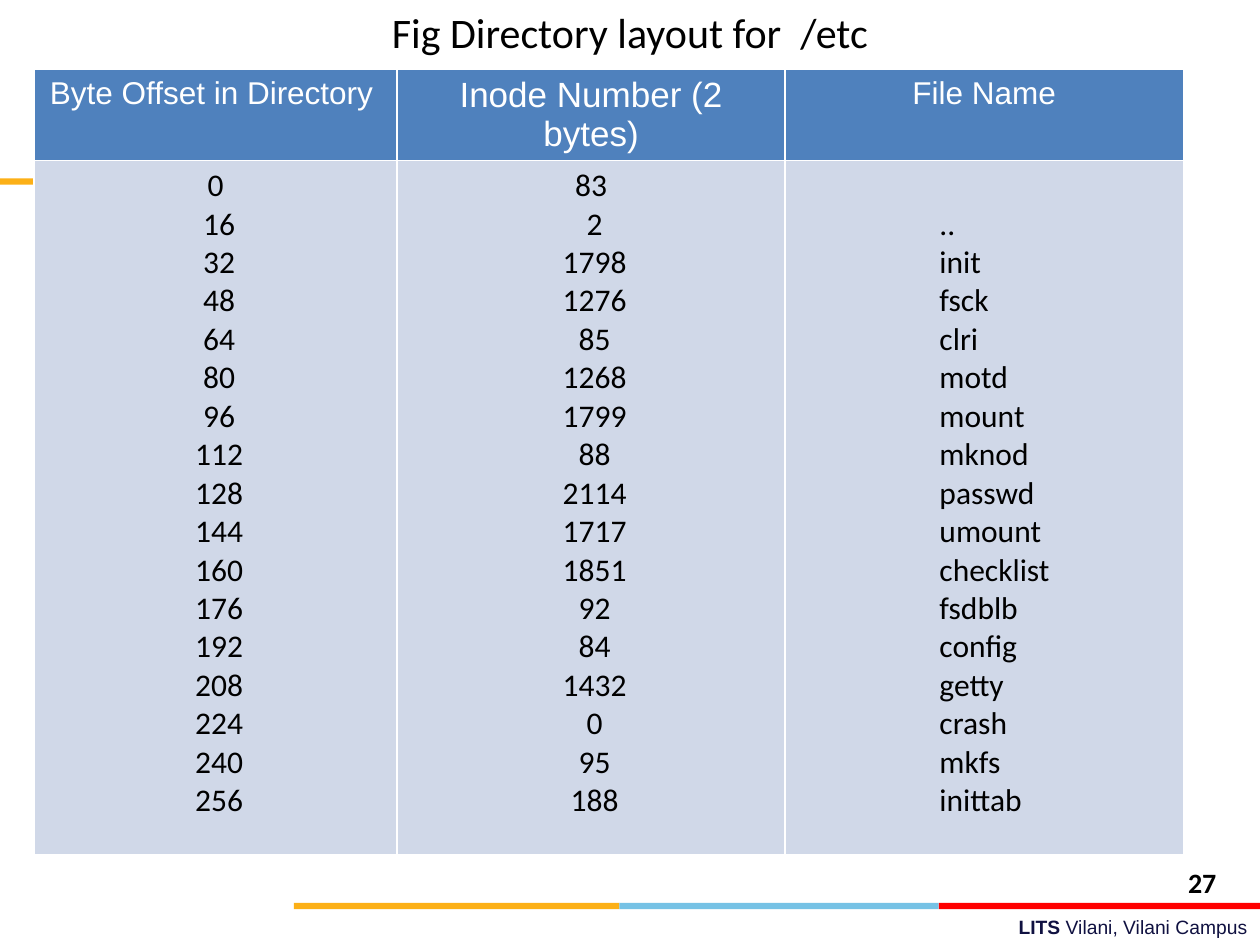
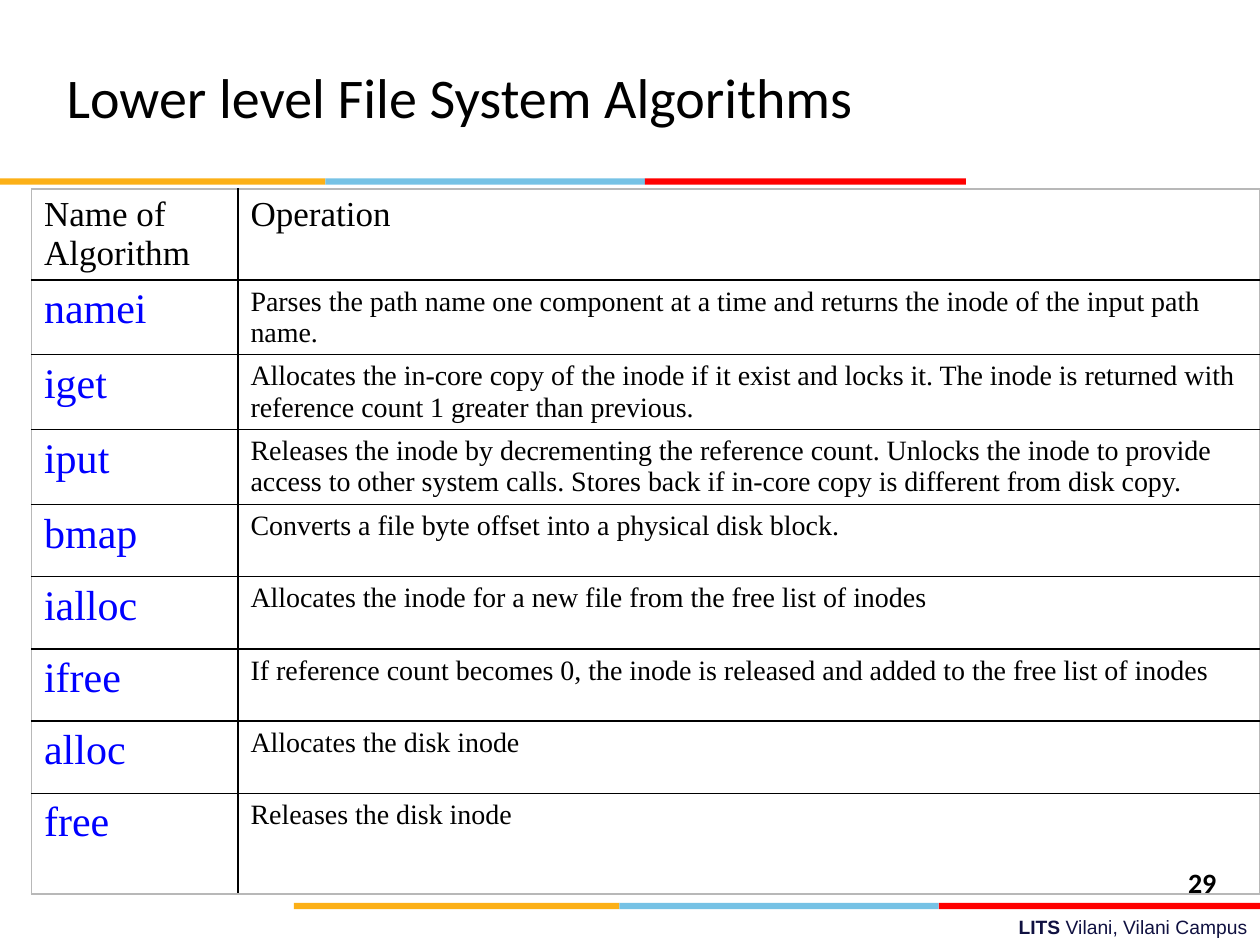
from dataclasses import dataclass
from lxml import etree
from pptx import Presentation
from pptx.dml.color import RGBColor
from pptx.enum.shapes import MSO_SHAPE
from pptx.enum.text import MSO_ANCHOR, PP_ALIGN
from pptx.oxml.ns import qn
from pptx.util import Pt

RECTANGLE = MSO_SHAPE.RECTANGLE
LEFT, CENTER, RIGHT = PP_ALIGN.LEFT, PP_ALIGN.CENTER, PP_ALIGN.RIGHT
TOP, MIDDLE = MSO_ANCHOR.TOP, MSO_ANCHOR.MIDDLE


@dataclass(frozen=True)
class Theme:
    black: str = "000000"
    white: str = "FFFFFF"
    navy: str = "101141"
    orange: str = "FCB017"
    sky: str = "76C2E5"
    red: str = "FF0000"
    header_fill: str = "4F81BD"
    body_fill: str = "D0D8E8"
    link_blue: str = "0000FF"
    frame_grey: str = "B8B8B8"
    sans: str = "Calibri"
    footer_font: str = "Arial"
    serif: str = "Times New Roman"
    title: int = 32
    caption: int = 24
    name: int = 24
    heading: int = 20
    body: int = 18
    small: int = 16
    footer: int = 11


theme = Theme()


def write(para, text, font=theme.sans, size=theme.body, color=theme.black,
          bold=False, align=LEFT, indent=0):
    """Add one formatted span to a paragraph."""
    para.alignment = align
    if indent:
        para._p.get_or_add_pPr().set("marL", str(Pt(indent)))
    span = para.add_run()
    span.text = text
    span.font.name = font
    span.font.size = Pt(size)
    span.font.bold = bold
    span.font.color.rgb = RGBColor.from_string(color)


def style_cell(cell, fill, **borders):
    """Set a cell's four border colours and its fill."""
    # Without a bottom margin the text never stretches its row
    cell.margin_bottom = Pt(0)
    properties = cell._tc.get_or_add_tcPr()
    for side in "LRTB":
        line = etree.SubElement(properties, qn(f"a:ln{side}"), w=str(Pt(1)))
        solid = etree.SubElement(line, qn("a:solidFill"))
        etree.SubElement(solid, qn("a:srgbClr"), val=borders[side])
    if fill:
        cell.fill.solid()
        cell.fill.fore_color.rgb = RGBColor.from_string(fill)
    else:
        cell.fill.background()


deck = Presentation()
deck.slide_width, deck.slide_height = Pt(720), Pt(540)
blank_layout = deck.slide_layouts[6]

# Shared parts: colour bands, footer, page number and title
BAND_PARTS = [(theme.orange, 186), (theme.sky, 182.5), (theme.red, 183.5)]
pages = []
for number, title, title_box, title_size, title_align, anchor, top_parts in [
    ("27", "Fig Directory layout for  /etc", (0, 0, 720, 38),
     theme.caption, CENTER, TOP, 1),
    ("29", "Lower level File System Algorithms", (31, 21.6, 482, 67),
     theme.title, LEFT, MIDDLE, 3),
]:
    page = deck.slides.add_slide(blank_layout)
    pages.append(page)

    for left, top, parts in [(168, 516, BAND_PARTS),
                             (0, 102, BAND_PARTS[:top_parts])]:
        for color, width in parts:
            band = page.shapes.add_shape(
                RECTANGLE, Pt(left), Pt(top), Pt(width), Pt(3.6))
            band.shadow.inherit = False
            band.fill.solid()
            band.fill.fore_color.rgb = RGBColor.from_string(color)
            band.line.fill.background()
            left += width

    for (left, top, width, height), box_anchor, spans, style in [
        ((258, 519.3, 462, 20.7), TOP,
         [("LITS ", True), ("Vilani, Vilani Campus", False)],
         dict(font=theme.footer_font, size=theme.footer,
              color=theme.navy, align=RIGHT)),
        ((671.8, 491, 48, 23), TOP, [(number, True)], dict(size=theme.small)),
        (title_box, anchor, [(title, False)],
         dict(size=title_size, align=title_align)),
    ]:
        box = page.shapes.add_textbox(Pt(left), Pt(top), Pt(width), Pt(height))
        box.text_frame.word_wrap = True
        box.text_frame.vertical_anchor = box_anchor
        for text, bold in spans:
            write(box.text_frame.paragraphs[0], text, bold=bold, **style)

directory_page, algorithm_page = pages

# Directory table: one header row, one body row holding a list per column
INODES = [83, 2, 1798, 1276, 85, 1268, 1799, 88, 2114,
          1717, 1851, 92, 84, 1432, 0, 95, 188]
OFFSETS = [16 * entry for entry in range(len(INODES))]
FILES = ["..", "init", "fsck", "clri", "motd", "mount", "mknod", "passwd",
         "umount", "checklist", "fsdblb", "config", "getty", "crash",
         "mkfs", "inittab"]
# Heading, its size and right margin, column width, entries
DIRECTORY_COLUMNS = [
    ("Byte Offset in Directory", theme.body, 11.8, 207.4, OFFSETS),
    ("Inode Number (2 bytes)", theme.heading, 7.2, 221.8, INODES),
    ("File Name", theme.body, 7.2, 227.5, FILES),
]
directory = directory_page.shapes.add_table(
    2, 3, Pt(19.5), Pt(39.6), Pt(656.7), Pt(449)).table
directory.horz_banding = False
directory.rows[0].height, directory.rows[1].height = Pt(52), Pt(397)
white_frame = dict.fromkeys("LRTB", theme.white)
for column, (heading, size, margin, width, entries) in enumerate(
        DIRECTORY_COLUMNS):
    directory.columns[column].width = Pt(width)
    header, body = directory.cell(0, column), directory.cell(1, column)
    style_cell(header, theme.header_fill, **white_frame)
    style_cell(body, theme.body_fill, **white_frame)
    header.margin_right = Pt(margin)
    write(header.text_frame.paragraphs[0], heading, font=theme.footer_font,
          size=size, color=theme.white, align=CENTER)
    is_files = entries is FILES
    if is_files:
        # The first entry has no visible name, so the list starts a line lower
        body.margin_left, body.margin_top = Pt(88.2), Pt(25.6)
    for row, entry in enumerate(entries):
        paras = body.text_frame.paragraphs
        para = body.text_frame.add_paragraph() if row else paras[0]
        write(para, str(entry), align=LEFT if is_files else CENTER,
              indent=4 if row and not is_files else 0)

# Algorithm table
ALGORITHMS = [
    ("Name of Algorithm", "Operation", 52),
    ("namei", "Parses the path name one component at a time and returns "
     "the inode of the input path name.", 42.8),
    ("iget", "Allocates the in-core copy of the inode if it exist and locks "
     "it. The inode is returned with reference count 1 greater than "
     "previous.", 42.8),
    ("iput", "Releases the inode by decrementing the reference count. "
     "Unlocks the inode to provide access to other system calls. Stores "
     "back if in-core copy is different from disk copy.", 42.8),
    ("bmap", "Converts a file byte offset into a physical disk block.", 41.3),
    ("ialloc", "Allocates the inode for a new file from the free list of "
     "inodes", 41.3),
    ("ifree", "If reference count becomes 0, the inode is released and added "
     "to the free list of inodes", 41.3),
    ("alloc", "Allocates the disk inode", 41.3),
    ("free", "Releases the disk inode", 57.6),
]
last_row = len(ALGORITHMS) - 1
algorithms = algorithm_page.shapes.add_table(
    len(ALGORITHMS), 2, Pt(18), Pt(107.9), Pt(702), Pt(403.2)).table
algorithms.first_row = algorithms.horz_banding = False
algorithms.columns[0].width, algorithms.columns[1].width = Pt(118), Pt(584)
inner, outer = theme.black, theme.frame_grey
for row, (name, operation, height) in enumerate(ALGORITHMS):
    algorithms.rows[row].height = Pt(height)
    for column, text in enumerate([name, operation]):
        cell = algorithms.cell(row, column)
        style_cell(cell, None,
                   L=inner if column else outer,
                   R=outer if column else inner,
                   T=inner if row else outer,
                   B=outer if row == last_row else inner)
        if row == 0:
            size, color = theme.heading, theme.black
        elif column == 0:
            size, color = theme.name, theme.link_blue
        else:
            size, color = theme.small, theme.black
        write(cell.text_frame.paragraphs[0], text, font=theme.serif,
              size=size, color=color)

deck.save("out.pptx")
